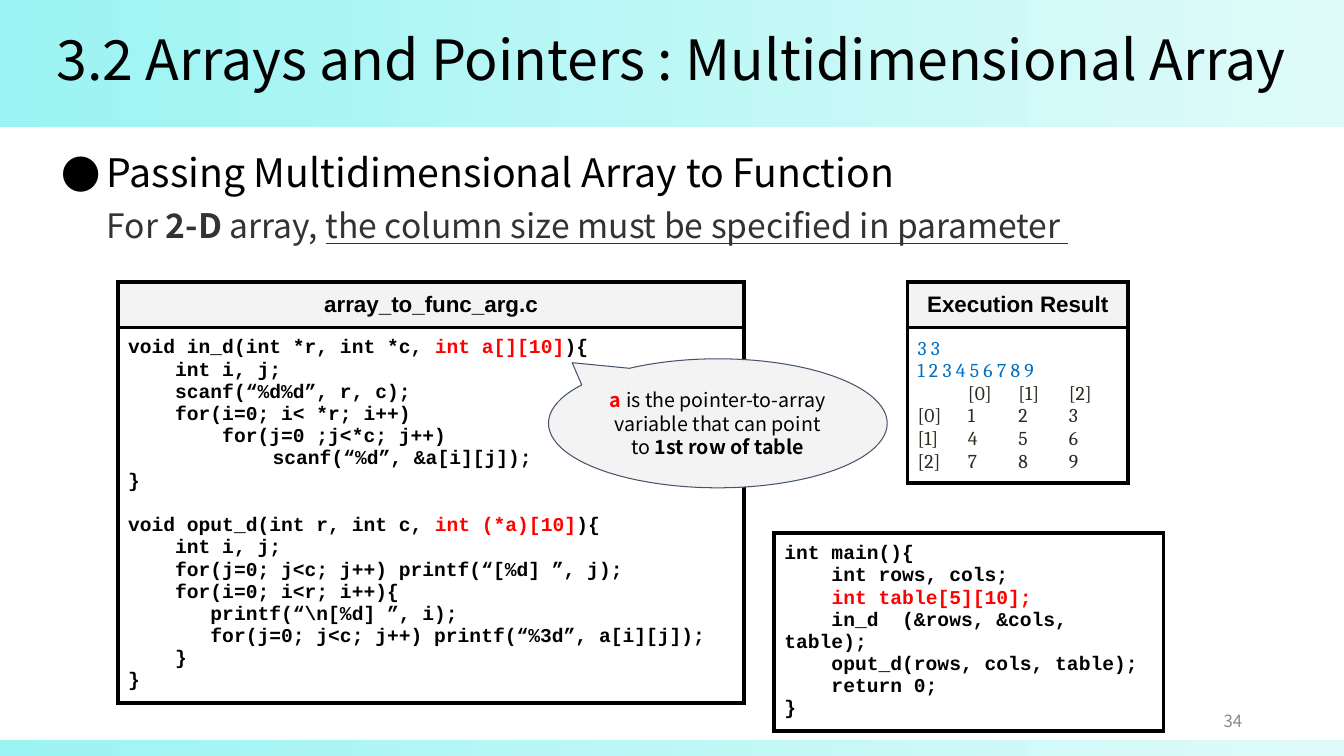
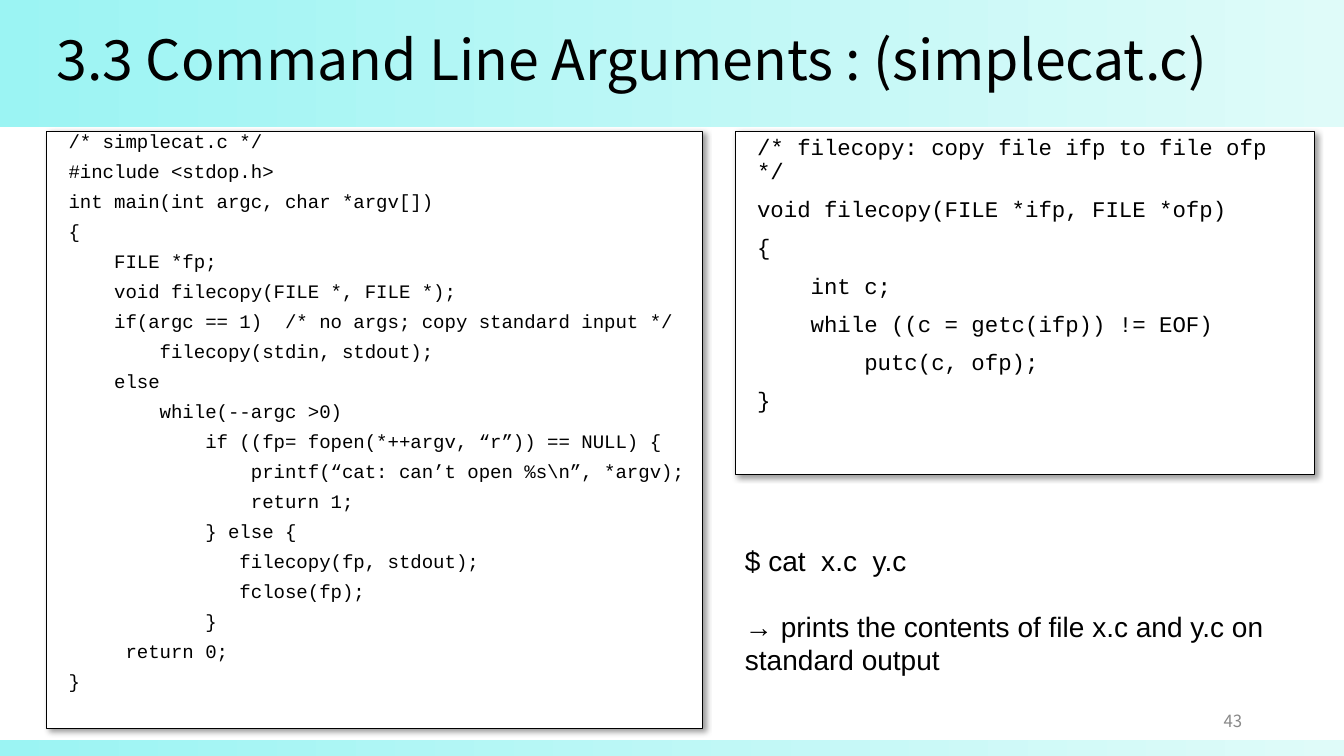
from lxml.etree import SubElement
from pptx import Presentation
from pptx.dml.color import RGBColor
from pptx.enum.shapes import MSO_SHAPE
from pptx.enum.text import MSO_ANCHOR, MSO_AUTO_SIZE, PP_ALIGN
from pptx.oxml.ns import qn
from pptx.util import Inches, Pt

SANS, CODE, LABEL, SERIF = "Noto Sans CJK KR", "Courier New", "Arial", "Cambria"
BLACK, WHITE, RED, BLUE = "000000", "FFFFFF", "FF0000", "0070C0"
PANEL, BODY_GREY, NUMBER_GREY = "F3F3F3", "333333", "888888"
BAND_START, BAND_END = "9BF4F3", "DFFBF9"

ARRAY_CODE = r"""void in_d(int *r, int *c, int a[][10]){
    int i, j;
    scanf(“%d%d”, r, c);
    for(i=0; i< *r; i++)
        for(j=0 ;j<*c; j++)
	        scanf(“%d”, &a[i][j]);
}

void oput_d(int r, int c, int (*a)[10]){
    int i, j;
    for(j=0; j<c; j++) printf(“[%d] ”, j);
    for(i=0; i<r; i++){
       printf(“\n[%d] ”, i);
       for(j=0; j<c; j++) printf(“%3d”, a[i][j]);
    }
}"""

MAIN_CODE = """int main(){
    int rows, cols;
    int table[5][10];
    in_d  (&rows, &cols, table);
    oput_d(rows, cols, table);
    return 0;
}"""

SIMPLECAT_CODE = r"""/* simplecat.c */
#include <stdop.h>
int main(int argc, char *argv[])
{
    FILE *fp;
    void filecopy(FILE *, FILE *);
    if(argc == 1)  /* no args; copy standard input */
        filecopy(stdin, stdout);
    else
        while(--argc >0)
            if ((fp= fopen(*++argv, “r”)) == NULL) {
                printf(“cat: can’t open %s\n”, *argv);
                return 1;
            } else {
               filecopy(fp, stdout);
               fclose(fp);
            }
     return 0;
}"""

FILECOPY_CODE = """/* filecopy: copy file ifp to file ofp */
void filecopy(FILE *ifp, FILE *ofp)
{
    int c;
    while ((c = getc(ifp)) != EOF)
        putc(c, ofp);
}"""


def rgb(value):
    """Turn a hex string into a colour."""
    return RGBColor.from_string(value)


def split_spans(line, marked):
    """Cut a line into (text, format) pairs around its marked phrases."""
    for phrase, look in marked.items():
        before, found, after = line.partition(phrase)
        if found:
            return split_spans(before, marked) + [(phrase, look)] + split_spans(after, marked)
    return [(line, {})] if line else []


def set_indent(para, left, hanging, bullet, tabs):
    """Set the indent, the bullet and the tab stops of a paragraph."""
    properties = para._p.get_or_add_pPr()
    properties.set("marL", str(Inches(left)))
    properties.set("indent", str(Inches(hanging)))
    if bullet:
        colour = SubElement(properties, qn("a:buClr"))
        SubElement(colour, qn("a:srgbClr"), val=BLACK)
        SubElement(properties, qn("a:buFont"), typeface=SANS)
        SubElement(properties, qn("a:buChar"), char=bullet)
    else:
        SubElement(properties, qn("a:buNone"))
    if tabs:
        stops = SubElement(properties, qn("a:tabLst"))
        for position in tabs:
            SubElement(stops, qn("a:tab"), pos=str(Inches(position)), algn="l")


def add_span(para, text, font, size, color, bold=False, underline=False):
    """Add one formatted run to a paragraph."""
    span = para.add_run()
    span.text = text
    span.font.name = font
    span.font.size = Pt(size)
    span.font.bold = bold
    span.font.underline = underline
    span.font.color.rgb = rgb(color)


def write(frame, text, font=SANS, size=14, color=BLACK, bold=False, align=PP_ALIGN.LEFT,
          marked=None, before=0, gap=0, spacing=1.0, left=0, hanging=0, bullet=None, tabs=()):
    """Append one paragraph per line; a blank line becomes space before the next."""
    extra = 0
    for line in text.splitlines():
        if not line:
            extra = gap
            continue
        is_first = not frame.text
        para = frame.paragraphs[0] if is_first else frame.add_paragraph()
        set_indent(para, left, hanging, bullet, tabs)
        para.alignment = align
        para.line_spacing = spacing
        para.space_before = Pt(0 if is_first else before + extra)
        extra = 0
        for words, look in split_spans(line, marked or {}):
            add_span(para, words, **{"font": font, "size": size, "color": color,
                                     "bold": bold, **look})


def set_margins(holder, side, end):
    """Set the text margins of a text frame or a table cell."""
    holder.margin_left = holder.margin_right = Inches(side)
    holder.margin_top = holder.margin_bottom = Inches(end)


def place(shape, left, top, width, height):
    """Move and size a shape."""
    shape.left, shape.top = Inches(left), Inches(top)
    shape.width, shape.height = Inches(width), Inches(height)


def prepare_frame(shape, anchor=MSO_ANCHOR.TOP, end=0.05):
    """Give a shape wrapped text of fixed size and return its frame."""
    frame = shape.text_frame
    frame.word_wrap = True
    frame.auto_size = MSO_AUTO_SIZE.NONE
    frame.vertical_anchor = anchor
    set_margins(frame, 0.1, end)
    return frame


def add_text_box(page, at, anchor=MSO_ANCHOR.TOP):
    """Add a text box and return its frame."""
    box = page.shapes.add_textbox(*map(Inches, at))
    return prepare_frame(box, anchor)


def paint(shape, fill, line):
    """Give a shape a plain fill, a thin outline and no shadow."""
    shape.fill.solid()
    shape.fill.fore_color.rgb = rgb(fill)
    shape.line.color.rgb = rgb(line)
    shape.line.width = Pt(0.75)
    shape.shadow.inherit = False


def add_bands(deck, page):
    """Draw the top and bottom bands and move them to the slide master."""
    for index, (top, height) in enumerate([(7.34, 0.16), (0, 1.26)]):
        band = page.shapes.add_shape(MSO_SHAPE.RECTANGLE, 0, Inches(top),
                                     deck.slide_width, Inches(height))
        band.fill.gradient()
        band.fill.gradient_angle = 0
        for stop, color in zip(band.fill.gradient_stops, (BAND_START, BAND_END)):
            stop.color.rgb = rgb(color)
        band.line.fill.background()
        band.shadow.inherit = False
        deck.slide_master.shapes.element.insert(2 + index, band.element)


def add_page(deck, title, number):
    """Add a slide with its title and page number."""
    page = deck.slides.add_slide(deck.slide_layouts[1])
    heading = page.shapes.title
    place(heading, 0.46, 0.27, 12.58, 0.7)
    write(prepare_frame(heading, MSO_ANCHOR.MIDDLE), title, size=39.6, spacing=0.9)
    corner = add_text_box(page, (9.42, 6.95, 3, 0.4), MSO_ANCHOR.MIDDLE)
    write(corner, number, size=12, color=NUMBER_GREY, align=PP_ALIGN.RIGHT)
    return page


def add_borders(cell):
    """Draw a black line on all sides of a cell."""
    properties = cell._tc.get_or_add_tcPr()
    for index, side in enumerate(("lnL", "lnR", "lnT", "lnB")):
        line = SubElement(properties, qn(f"a:{side}"), w=str(Pt(3)))
        fill = SubElement(line, qn("a:solidFill"))
        SubElement(fill, qn("a:srgbClr"), val=BLACK)
        properties.insert(index, line)


def add_panel(page, left, top, width, heights, header=None):
    """Add a one-column table with an optional header; return the last cell's frame."""
    table = page.shapes.add_table(len(heights), 1, Inches(left), Inches(top),
                                  Inches(width), Inches(sum(heights))).table
    table.first_row = table.horz_banding = False
    for row, height in zip(table.rows, heights):
        row.height = Inches(height)
        cell = row.cells[0]
        set_margins(cell, 0.1, 0.1)
        cell.fill.solid()
        cell.fill.fore_color.rgb = rgb(WHITE)
        add_borders(cell)
    if header:
        top_cell = table.cell(0, 0)
        top_cell.fill.fore_color.rgb = rgb(PANEL)
        write(top_cell.text_frame, header, font=LABEL, size=16, bold=True,
              align=PP_ALIGN.CENTER)
    return cell.text_frame


def fill_code_box(shape, text, size, spacing):
    """Make a shape a white code box with a soft shadow."""
    paint(shape, WHITE, BLACK)
    effects = shape.element.spPr.find(qn("a:effectLst"))
    shadow = SubElement(effects, qn("a:outerShdw"), blurRad=str(Pt(4)), dist=str(Pt(3)),
                        dir=str(45 * 60000), algn="tl", rotWithShape="0")
    color = SubElement(shadow, qn("a:srgbClr"), val=BLACK)
    SubElement(color, qn("a:alpha"), val="40000")
    write(prepare_frame(shape), text, font=CODE, size=size, spacing=spacing,
          before=10, left=0.12)


def add_callout(page):
    """Add the speech bubble that points at the array parameter."""
    bubble = page.shapes.add_shape(MSO_SHAPE.OVAL_CALLOUT, Inches(5.44), Inches(3.56),
                                   Inches(3.36), Inches(1.28))
    bubble.adjustments[0], bubble.adjustments[1] = -0.43, -0.47
    paint(bubble, PANEL, "44546A")
    write(prepare_frame(bubble, MSO_ANCHOR.MIDDLE, 0.1),
          "a is the pointer-to-array variable that can point to 1st row of table",
          align=PP_ALIGN.CENTER,
          marked={"a ": {"color": RED, "bold": True}, "1st row of table": {"bold": True}})


def build_array_page(page):
    """Fill the slide on passing arrays to functions."""
    body = page.placeholders[1]
    place(body, 0.46, 1.47, 11.5, 5.68)
    frame = prepare_frame(body)
    write(frame, "Passing Multidimensional Array to Function", size=28, spacing=0.9,
          left=0.5, hanging=-0.45, bullet="●")
    write(frame, "For 2-D array, the column size must be specified in parameter ",
          size=24, color=BODY_GREY, spacing=0.9, before=10, left=0.5,
          marked={"2-D": {"bold": True},
                  "the column size must be specified in parameter ": {"underline": True}})

    red = {"color": RED}
    code = add_panel(page, 1.17, 2.8, 6.21, (0.45, 3.72), "array_to_func_arg.c")
    write(code, ARRAY_CODE, font=CODE, bold=True, gap=16,
          marked={"int a[][10]": red, "int (*a)[10]": red})
    main_code = add_panel(page, 7.68, 5.29, 3.86, (1.96,))
    write(main_code, MAIN_CODE, font=CODE, bold=True, marked={"int table[5][10];": red})

    result = add_panel(page, 9, 2.8, 2.19, (0.45, 1.54), "Execution Result")
    write(result, "3 3\n1 2 3 4 5 6 7 8 9", font=SERIF, color=BLUE)
    write(result, "\t[0]\t[1]\t[2]", font=SERIF, color="2F2B20", tabs=(0.27, 0.68, 1.05))
    write(result, "[0]\t1\t2\t3\n[1]\t4\t5\t6\n[2]\t7\t8\t9", font=SERIF,
          color="2F2B20", tabs=(0.44, 0.75, 1.09))
    add_callout(page)


def build_command_page(page):
    """Fill the slide on command line arguments."""
    body = page.placeholders[1]
    place(body, 0.46, 1.3, 6.51, 5.93)
    fill_code_box(body, SIMPLECAT_CODE, 13.6, 0.7)
    box = page.shapes.add_shape(MSO_SHAPE.RECTANGLE, Inches(7.29), Inches(1.3),
                                Inches(5.75), Inches(3.41))
    fill_code_box(box, FILECOPY_CODE, 16, 0.9)
    usage = add_text_box(page, (7.29, 5.34, 5.75, 1.45))
    write(usage, "$ cat  x.c  y.c\n\n"
          "→ prints the contents of file x.c and y.c on standard output",
          font=LABEL, size=20, gap=23)


def main():
    """Build the deck and save it."""
    deck = Presentation()
    deck.slide_width, deck.slide_height = Inches(13.33), Inches(7.5)
    array_page = add_page(deck, "3.2 Arrays and Pointers : Multidimensional Array", "34")
    add_bands(deck, array_page)
    build_array_page(array_page)
    build_command_page(add_page(deck, "3.3 Command Line Arguments : (simplecat.c)", "43"))
    deck.save("out.pptx")


if __name__ == "__main__":
    main()
